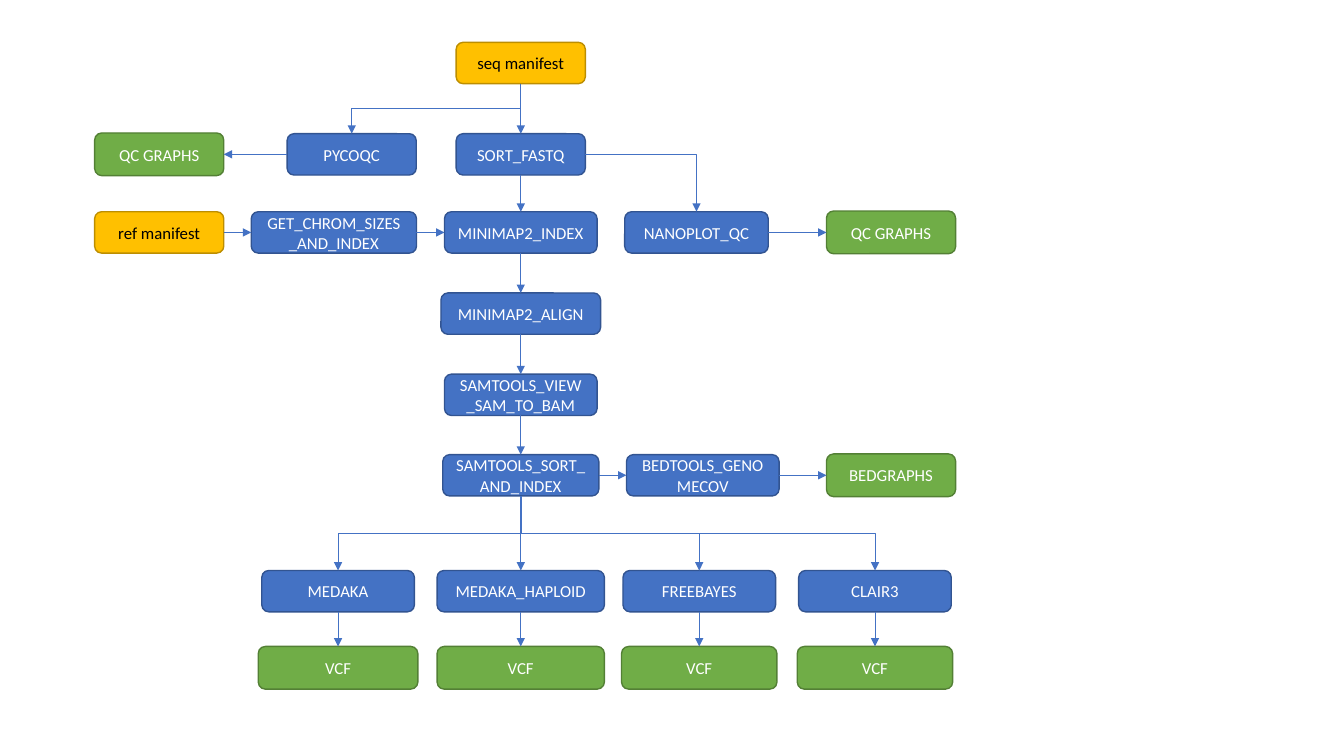
from dataclasses import dataclass
from enum import Enum, IntEnum
from typing import NamedTuple

from pptx import Presentation, util as u
from pptx.dml.color import RGBColor
from pptx.enum import shapes, text
from pptx.oxml.ns import qn
from pptx.shapes.autoshape import Shape
from pptx.shapes.connector import Connector
from pptx.shapes.shapetree import SlideShapes


class Paint(NamedTuple):
    """Colours and height of one kind of box."""
    fill: str
    outline: str
    label: str
    height: float


@dataclass(frozen=True)
class Theme:
    """Colours, type and line weights of the flowchart."""
    manifest: Paint = Paint("FFC000", "BD8E00", "000000", 29.5)
    process: Paint = Paint("4472C4", "325491", "FFFFFF", 29.5)
    result: Paint = Paint("70AD47", "538035", "FFFFFF", 30.5)
    arrow: str = "4472C4"
    font: str = "Calibri"
    size: float = 12
    outline_width: float = 1
    arrow_width: float = 0.5


THEME = Theme()


class Side(IntEnum):
    """Connection sites of a rounded rectangle."""
    TOP = 0
    LEFT = 1
    BOTTOM = 2
    RIGHT = 3


class Route(Enum):
    """How an arrow travels between two boxes."""
    STRAIGHT = "line"
    CORNER = "bentConnector2"
    FORK = "bentConnector3"


@dataclass(frozen=True)
class Step:
    """One box, placed by its centre."""
    key: str
    label: str
    paint: Paint
    x: float
    y: float
    width: float


@dataclass(frozen=True)
class Link:
    """One arrow between two steps; downwards and straight by default."""
    source: str
    target: str
    leave: Side = Side.BOTTOM
    enter: Side = Side.TOP
    route: Route = Route.STRAIGHT


INPUT_X, TRUNK_X, RESULT_X = 113.75, 372, 636.5
QC_Y, INDEX_Y, COVERAGE_Y, CALLER_Y, VCF_Y = 110.25, 166, 339.5, 422.25, 477
SMALL, MEDIUM = 92.25, 109

STEPS = [
    Step("seq", "seq manifest", THEME.manifest, TRUNK_X, 45, SMALL),
    Step("ref", "ref manifest", THEME.manifest, INPUT_X, INDEX_Y, SMALL),
    Step("pycoqc", "PYCOQC", THEME.process, 251.25, QC_Y, SMALL),
    Step("fastq", "SORT_FASTQ", THEME.process, TRUNK_X, QC_Y, SMALL),
    Step("sizes", "GET_CHROM_SIZES_AND_INDEX", THEME.process, 238.5, INDEX_Y, 118),
    Step("index", "MINIMAP2_INDEX", THEME.process, TRUNK_X, INDEX_Y, MEDIUM),
    Step("nanoplot", "NANOPLOT_QC", THEME.process, 497.5, INDEX_Y, 102.5),
    Step("align", "MINIMAP2_ALIGN", THEME.process, TRUNK_X, 224, 114),
    Step("view", "SAMTOOLS_VIEW_SAM_TO_BAM", THEME.process, TRUNK_X, 282, MEDIUM),
    Step("sort", "SAMTOOLS_SORT_AND_INDEX", THEME.process, TRUNK_X, COVERAGE_Y, 111.5),
    Step("genomecov", "BEDTOOLS_GENOMECOV", THEME.process, 502, COVERAGE_Y, MEDIUM),
    Step("read graphs", "QC GRAPHS", THEME.result, INPUT_X, QC_Y, SMALL),
    Step("plot graphs", "QC GRAPHS", THEME.result, RESULT_X, INDEX_Y, SMALL),
    Step("bedgraphs", "BEDGRAPHS", THEME.result, RESULT_X, COVERAGE_Y, SMALL),
]

LINKS = [
    Link("seq", "fastq"),
    Link("seq", "pycoqc", route=Route.FORK),
    Link("pycoqc", "read graphs", Side.LEFT, Side.RIGHT),
    Link("fastq", "index"),
    Link("fastq", "nanoplot", Side.RIGHT, Side.TOP, Route.CORNER),
    Link("ref", "sizes", Side.RIGHT, Side.LEFT),
    Link("sizes", "index", Side.RIGHT, Side.LEFT),
    Link("nanoplot", "plot graphs", Side.RIGHT, Side.LEFT),
    Link("index", "align"),
    Link("align", "view"),
    Link("view", "sort"),
    Link("sort", "genomecov", Side.RIGHT, Side.LEFT),
    Link("genomecov", "bedgraphs", Side.RIGHT, Side.LEFT),
]


class Caller(NamedTuple):
    """A variant caller with the widths of its box and its VCF box."""
    label: str
    x: float
    width: float
    vcf_width: float


CALLERS = [
    Caller("MEDAKA", 241.5, MEDIUM, 114),
    Caller("MEDAKA_HAPLOID", TRUNK_X, 119.5, 119.5),
    Caller("FREEBAYES", 499.5, MEDIUM, 111),
    Caller("CLAIR3", 625, MEDIUM, 111),
]

for caller in CALLERS:
    vcf = f"{caller.label} vcf"
    STEPS += [
        Step(caller.label, caller.label, THEME.process, caller.x, CALLER_Y, caller.width),
        Step(vcf, "VCF", THEME.result, caller.x, VCF_Y, caller.vcf_width),
    ]
    below_trunk = caller.x == TRUNK_X
    LINKS += [
        Link("sort", caller.label, route=Route.STRAIGHT if below_trunk else Route.FORK),
        Link(caller.label, vcf),
    ]


def draw_step(canvas: SlideShapes, step: Step) -> Shape:
    """Draw one labelled rounded box."""
    paint = step.paint
    box = canvas.add_shape(
        shapes.MSO_SHAPE.ROUNDED_RECTANGLE,
        u.Pt(step.x - step.width / 2), u.Pt(step.y - paint.height / 2),
        u.Pt(step.width), u.Pt(paint.height))
    box.shadow.inherit = False
    box.fill.solid()
    box.fill.fore_color.rgb = RGBColor.from_string(paint.fill)
    box.line.color.rgb = RGBColor.from_string(paint.outline)
    box.line.width = u.Pt(THEME.outline_width)
    frame = box.text_frame
    frame.word_wrap = True
    frame.vertical_anchor = text.MSO_ANCHOR.MIDDLE
    label = frame.paragraphs[0]
    label.text = step.label
    label.alignment = text.PP_ALIGN.CENTER
    label.font.name = THEME.font
    label.font.size = u.Pt(THEME.size)
    label.font.color.rgb = RGBColor.from_string(paint.label)
    return box


def turn_downwards(arrow: Connector) -> None:
    """Rotate an elbow so that it leaves and arrives vertically."""
    run, drop = arrow.end_x - arrow.begin_x, arrow.end_y - arrow.begin_y
    middle_x = (arrow.begin_x + arrow.end_x) // 2
    middle_y = (arrow.begin_y + arrow.end_y) // 2
    arrow.width, arrow.height = drop, abs(run)
    arrow.left, arrow.top = middle_x - drop // 2, middle_y - abs(run) // 2
    frame = arrow._element.spPr.find(qn("a:xfrm"))
    frame.set("rot", str((270 if run > 0 else 90) * 60000))
    frame.set("flipH", "1" if run > 0 else "0")


def draw_link(canvas: SlideShapes, link: Link, boxes: dict[str, Shape]) -> None:
    """Draw one arrow attached to its two boxes."""
    straight = link.route is Route.STRAIGHT
    kind = shapes.MSO_CONNECTOR.STRAIGHT if straight else shapes.MSO_CONNECTOR.ELBOW
    arrow = canvas.add_connector(kind, 0, 0, 0, 0)
    arrow.begin_connect(boxes[link.source], link.leave)
    arrow.end_connect(boxes[link.target], link.enter)
    arrow.line.color.rgb = RGBColor.from_string(THEME.arrow)
    arrow.line.width = u.Pt(THEME.arrow_width)
    properties = arrow._element.spPr
    if link.route is Route.FORK:
        turn_downwards(arrow)
    elif link.route is Route.CORNER:
        properties.find(qn("a:prstGeom")).set("prst", link.route.value)
    head = properties.find(qn("a:ln")).makeelement(qn("a:tailEnd"), {"type": "triangle"})
    properties.find(qn("a:ln")).append(head)
    properties.append(properties.makeelement(qn("a:effectLst"), {}))


def main() -> None:
    """Build the workflow slide and save it."""
    deck = Presentation()
    deck.slide_width, deck.slide_height = u.Pt(960), u.Pt(540)
    canvas = deck.slides.add_slide(deck.slide_layouts.get_by_name("Blank")).shapes
    boxes = {step.key: draw_step(canvas, step) for step in STEPS}
    for link in LINKS:
        draw_link(canvas, link, boxes)
    deck.save("out.pptx")


main()
